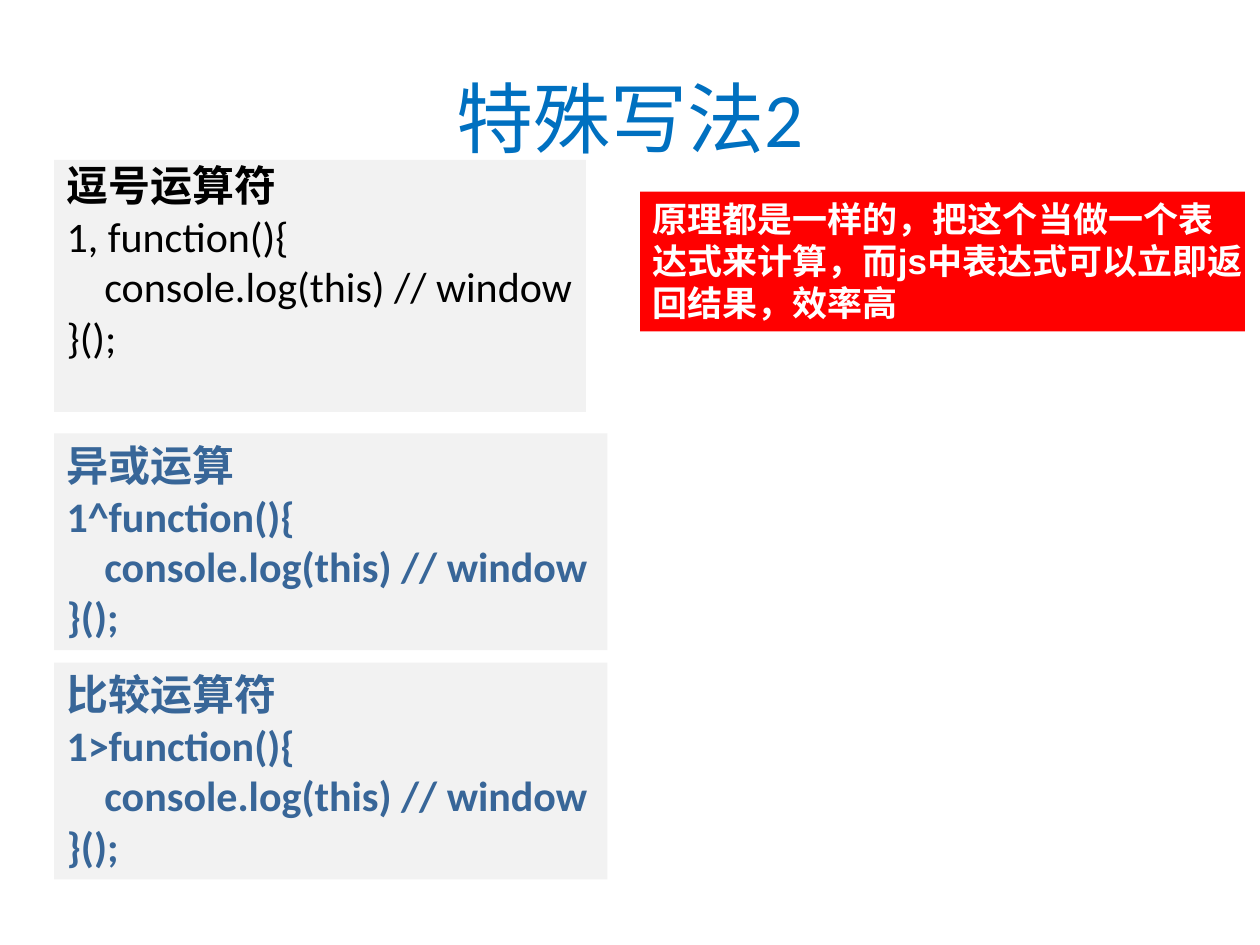
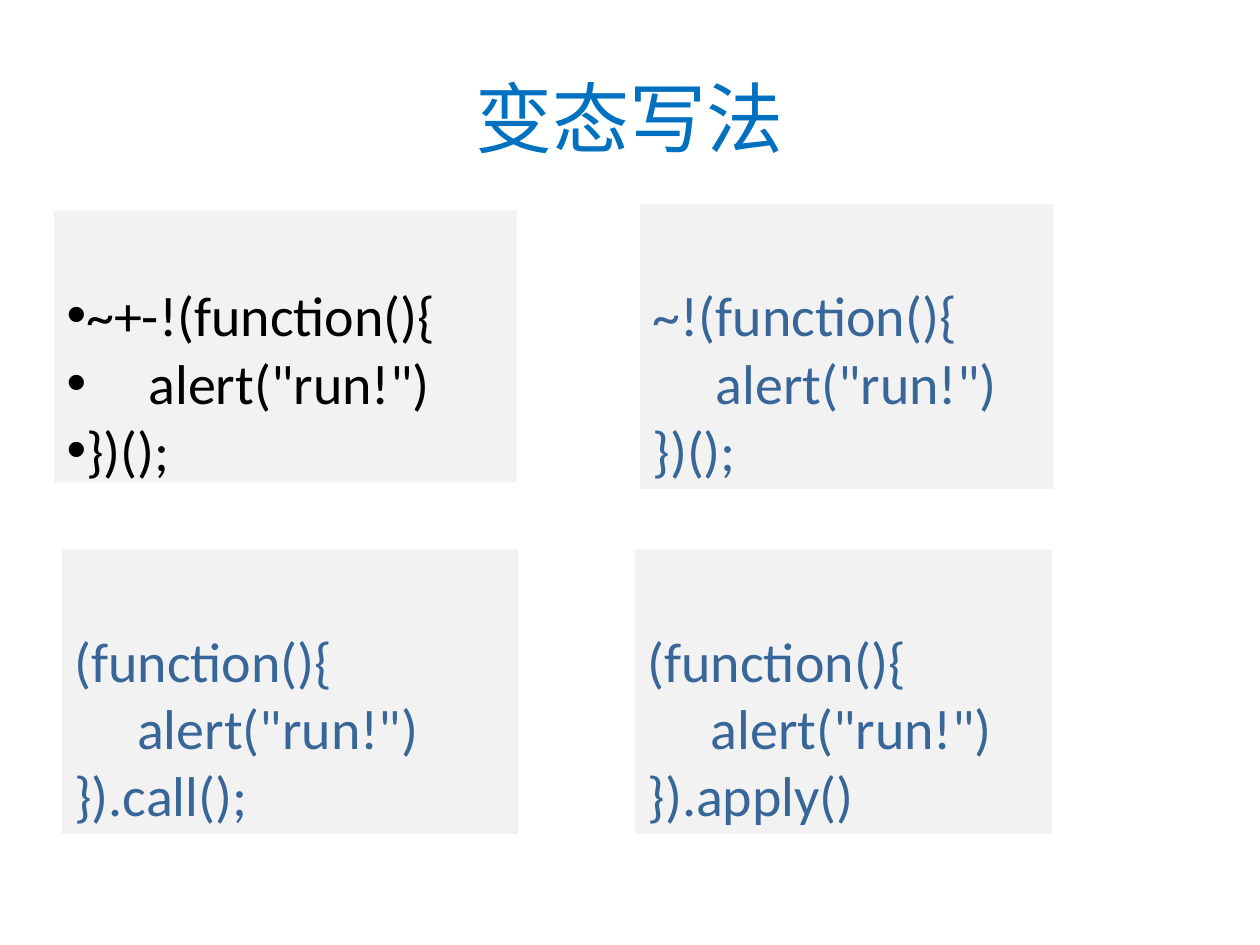
from lxml import etree
from pptx import Presentation
from pptx.dml.color import RGBColor
from pptx.enum.shapes import MSO_SHAPE as Shape
from pptx.enum.text import MSO_ANCHOR as Anchor, PP_ALIGN as Align
from pptx.oxml.ns import qn
from pptx.util import Inches, Pt

COLORS = {"title": "0070C0", "panel": "F2F2F2", "code": "386698",
          "black": "000000", "alert": "FF0000", "white": "FFFFFF"}
CODE_FONT, NOTE_FONT = "Calibri", "Arial"


class Deck:
    def __init__(self):
        self.prs = Presentation()
        self.prs.slide_width, self.prs.slide_height = Inches(10), Inches(7.5)
        self.slide = None

    def style(self, paragraph, size, color, font, bold=False):
        for run in paragraph.runs:
            run.font.size, run.font.name, run.font.bold = Pt(size), font, bold
            run.font.color.rgb = RGBColor.from_string(COLORS[color])

    def add_slide(self, heading):
        self.slide = self.prs.slides.add_slide(self.prs.slide_layouts[5])
        title = self.slide.shapes.title
        title.left, title.top = Inches(0.5), Inches(0.3)
        title.width, title.height = Inches(9), Inches(1.25)
        title.text_frame.text = heading
        title.text_frame.vertical_anchor = Anchor.MIDDLE
        paragraph = title.text_frame.paragraphs[0]
        paragraph.alignment = Align.CENTER
        self.style(paragraph, 44, "title", CODE_FONT)

    def panel(self, box, lines, fill, anchor, margin=0.05):
        """Filled rectangle with left-aligned lines; returns its paragraphs."""
        panel = self.slide.shapes.add_shape(Shape.RECTANGLE, *map(Inches, box))
        panel.shadow.inherit = False
        panel.fill.solid()
        panel.fill.fore_color.rgb = RGBColor.from_string(COLORS[fill])
        panel.line.fill.background()
        frame = panel.text_frame
        frame.text = "\n".join(lines)
        frame.word_wrap = True
        frame.vertical_anchor = anchor
        frame.margin_top = frame.margin_bottom = Inches(margin)
        frame.margin_right = 0
        for paragraph in frame.paragraphs:
            paragraph.alignment = Align.LEFT
        return frame.paragraphs

    def indent(self, paragraph, left, first=0):
        properties = paragraph._p.get_or_add_pPr()
        properties.set("marL", str(Inches(left)))
        properties.set("indent", str(Inches(first)))
        return properties

    def code(self, box, lines, size, color, anchor, body_indent,
             heading=None, bold=False, bullets=False, margin=0.05):
        """Code panel whose middle line is indented as the function body."""
        headings = [heading] if heading else []
        paragraphs = self.panel(box, headings + lines, "panel", anchor, margin)
        for paragraph in paragraphs:
            self.style(paragraph, size, color, CODE_FONT, bold)
        if heading:
            self.style(paragraphs[0], size, color, CODE_FONT, True)
        self.indent(paragraphs[-2], body_indent)
        if bullets:
            for paragraph in paragraphs:
                left = body_indent if paragraph is paragraphs[-2] else 0
                properties = self.indent(paragraph, left, -left)
                etree.SubElement(properties, qn("a:buFont"), typeface="Arial")
                etree.SubElement(properties, qn("a:buChar"), char="•")

    def note(self, box, text):
        paragraph = self.panel(box, [text], "alert", Anchor.TOP)[0]
        self.style(paragraph, 20, "white", NOTE_FONT, True)


deck = Deck()

# Operators that turn a function into an expression
deck.add_slide("特殊写法2")
operators = [
    ("逗号运算符", "1, ", (0.43, 1.27, 4.22, 2), "black", False, 0),
    ("异或运算", "1^", (0.43, 3.44, 4.39, 1.72), "code", True, 0.05),
    ("比较运算符", "1>", (0.43, 5.26, 4.39, 1.72), "code", True, 0.05),
]
for heading, prefix, box, color, bold, margin in operators:
    lines = [prefix + "function(){", "console.log(this) // window", "}();"]
    deck.code(box, lines, 24, color, Anchor.TOP, 0.3, heading, bold,
              margin=margin)
deck.note((5.08, 1.52, 4.8, 1.11),
          "原理都是一样的，把这个当做一个表达式来计算，"
          "而js中表达式可以立即返回结果，效率高")

# Unusual ways to call a function at once
deck.add_slide("变态写法")
calls = [
    ("~+-!", "})();", (0.43, 1.67, 3.67, 2.16), "black", True),
    ("~!", "})();", (5.08, 1.62, 3.28, 2.26), "code", False),
    ("", "}).call();", (0.49, 4.36, 3.62, 2.26), "code", False),
    ("", "}).apply()", (5.04, 4.36, 3.31, 2.26), "code", False),
]
for prefix, ending, box, color, bullets in calls:
    lines = [prefix + "(function(){", 'alert("run!")', ending]
    deck.code(box, lines, 32, color, Anchor.BOTTOM, 0.65 if bullets else 0.5,
              bullets=bullets, margin=0 if bullets else 0.05)

deck.prs.save("out.pptx")
